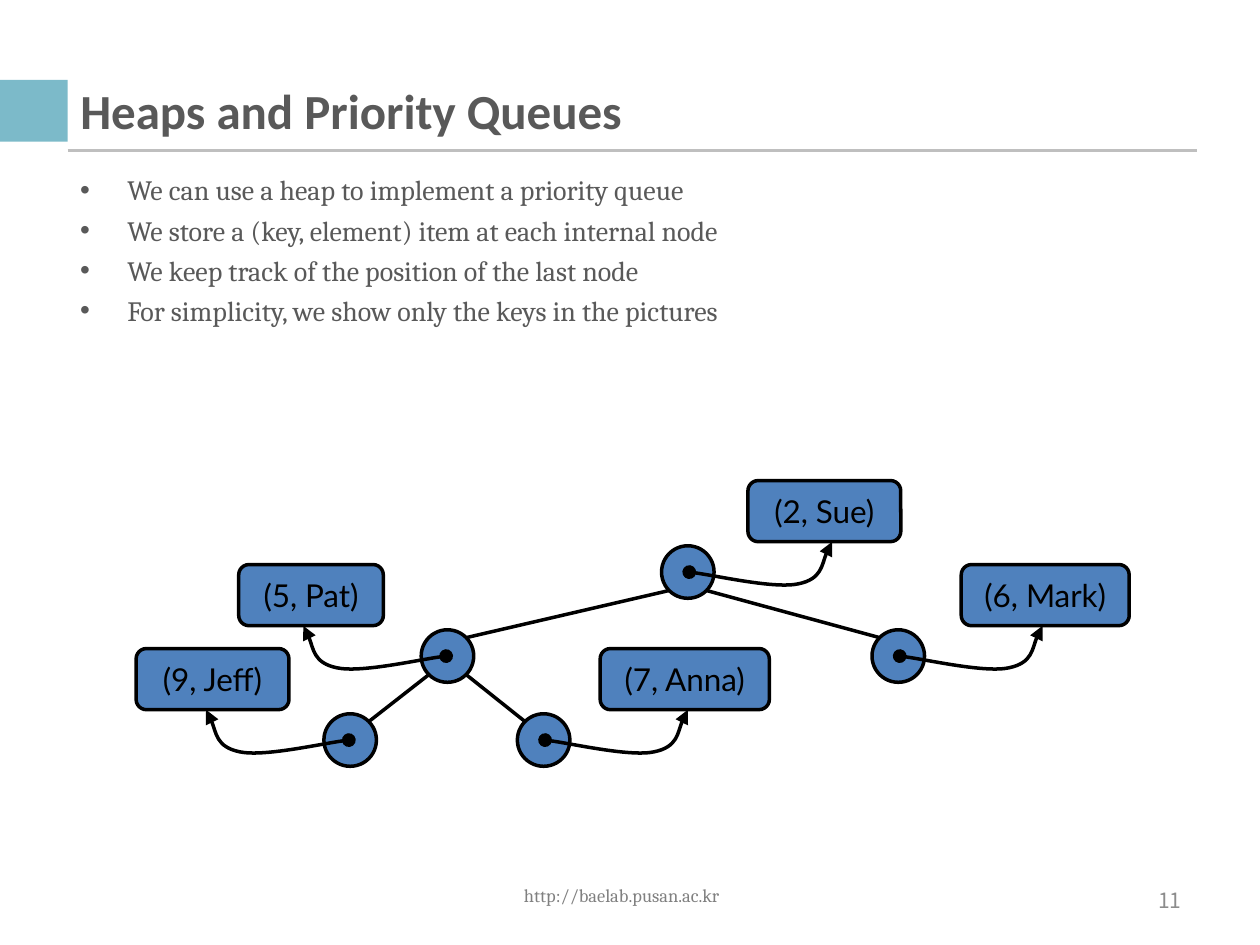
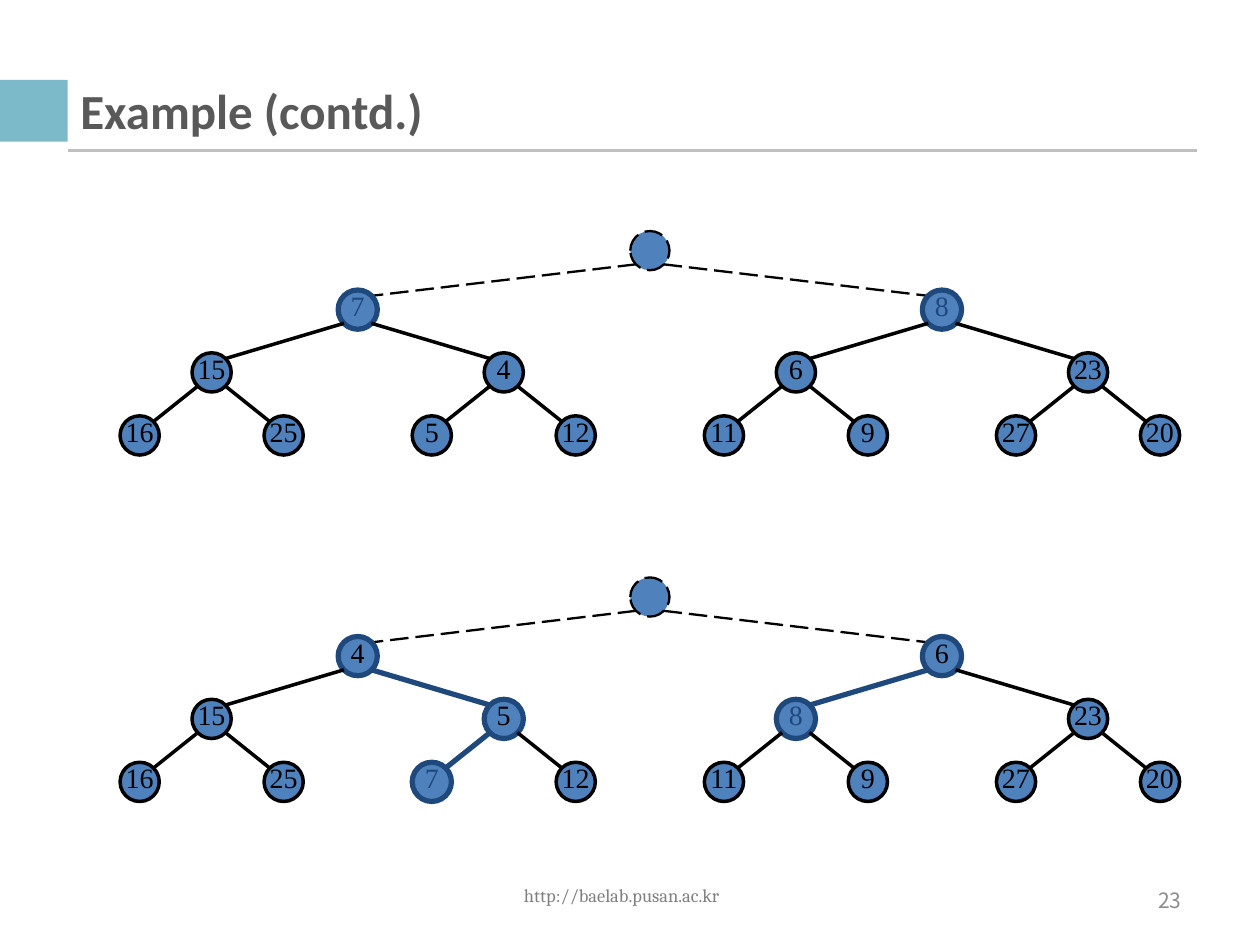
from lxml import etree
from pptx import Presentation
from pptx.dml.color import RGBColor
from pptx.enum.dml import MSO_LINE
from pptx.enum.shapes import MSO_CONNECTOR, MSO_SHAPE
from pptx.enum.text import MSO_ANCHOR, MSO_AUTO_SIZE, PP_ALIGN
from pptx.oxml.ns import qn
from pptx.util import Pt

RECT, ROUND, OVAL = MSO_SHAPE.RECTANGLE, MSO_SHAPE.ROUNDED_RECTANGLE, MSO_SHAPE.OVAL
LEFT, MID, RIGHT = PP_ALIGN.LEFT, PP_ALIGN.CENTER, PP_ALIGN.RIGHT
DASH = MSO_LINE.LONG_DASH


class Theme:
    black, blue, navy = "000000", "4F81BD", "1F497D"
    teal, rule = "7CBAC9", "BFBFBF"
    text, foot, page = "595959", "808080", "8C8C8C"
    # Fonts: face, size, colour
    head = ("Calibri", 21, text)
    body = ("Cambria", 12, text)
    link = ("Cambria", 7.9, foot)
    num = ("Noto Sans CJK KR", 9, page)
    item = ("Lato", 13.5, black)
    key = ("Times New Roman", 12, black)
    moved = ("Times New Roman", 12, navy)
    # Pens: colour, width, dash
    thin = (rule, 1, None)
    solid = (black, 1.5, None)
    bold = (navy, 2.25, None)
    dashed = (black, 1, DASH)


def put(slide, kind, box, fill=None, pen=None, text="", font=None,
        align=MID, pad=(7.2, 3.6, 7.2, 3.6), wrap=False):
    """Add a shape, or a text box when kind is None."""
    box = [Pt(v) for v in box]
    if kind is None:
        shape = slide.shapes.add_textbox(*box)
    else:
        shape = slide.shapes.add_shape(kind, *box)
        shape.shadow.inherit = False
        shape.fill.solid()
        shape.fill.fore_color.rgb = RGBColor.from_string(fill)
        if pen:
            shape.line.color.rgb = RGBColor.from_string(pen[0])
            shape.line.width = Pt(pen[1])
            shape.line.dash_style = pen[2]
        else:
            shape.line.fill.background()
    if text:
        frame = shape.text_frame
        frame.word_wrap = wrap
        frame.vertical_anchor = MSO_ANCHOR.MIDDLE
        (frame.margin_left, frame.margin_top,
         frame.margin_right, frame.margin_bottom) = [Pt(v) for v in pad]
        para = frame.paragraphs[0]
        para.text, para.alignment = text, align
        para.font.name, para.font.size = font[0], Pt(font[1])
        para.font.color.rgb = RGBColor.from_string(font[2])
    return shape


def join(slide, start, end, pen, gap=0):
    """Draw a line; gap moves both ends diagonally to the rims of two nodes."""
    side = 1 if end[0] > start[0] else -1
    line = slide.shapes.add_connector(
        MSO_CONNECTOR.STRAIGHT,
        Pt(start[0] + side * gap), Pt(start[1] + gap),
        Pt(end[0] - side * gap), Pt(end[1] - gap))
    line.line.color.rgb = RGBColor.from_string(pen[0])
    line.line.width = Pt(pen[1])
    line.line.dash_style = pen[2]
    etree.SubElement(line.element.spPr, qn("a:effectLst"))


deck = Presentation()
deck.slide_width, deck.slide_height = Pt(540), Pt(405)

# Shared frame: band, rule, title, footer, page number
slides = []
for name, page in [("Heaps and Priority Queues", "11"), ("Example (contd.)", "23")]:
    slide = deck.slides.add_slide(deck.slide_layouts[5])
    slides.append(slide)
    put(slide, None, (180.7, 373, 171.4, 21.6), text="http://baelab.pusan.ac.kr",
        font=Theme.link, pad=(5, 2.9, 5, 2.9), wrap=True)
    put(slide, RECT, (0, 34.2, 29, 26.6), Theme.teal)
    join(slide, (29, 64.5), (513, 64.5), Theme.thin)
    title = slide.shapes.title
    title.left, title.top, title.width, title.height = Pt(27.2), Pt(34.6), Pt(486), Pt(25.2)
    frame = title.text_frame
    frame.auto_size = MSO_AUTO_SIZE.NONE
    frame.vertical_anchor = MSO_ANCHOR.MIDDLE
    para = frame.paragraphs[0]
    para.text, para.alignment = name, LEFT
    para.font.name, para.font.size, para.font.bold = Theme.head[0], Pt(Theme.head[1]), True
    para.font.color.rgb = RGBColor.from_string(Theme.head[2])
    put(slide, None, (387.4, 375.1, 126, 21.6), text=page, font=Theme.num,
        align=RIGHT, wrap=True)
queue, example = slides

# Bullet list
points = [
    "We can use a heap to implement a priority queue",
    "We store a (key, element) item at each internal node",
    "We keep track of the position of the last node",
    "For simplicity, we show only the keys in the pictures",
]
frame = queue.shapes.add_textbox(Pt(27.2), Pt(70.6), Pt(486), Pt(291.6)).text_frame
frame.word_wrap = True
for i, point in enumerate(points):
    para = frame.paragraphs[0] if i == 0 else frame.add_paragraph()
    para.text = point
    props = para._p.get_or_add_pPr()
    props.set("marL", str(Pt(20.25)))
    props.set("indent", str(-Pt(20.25)))
    etree.SubElement(props, qn("a:buFont"), typeface="Arial")
    etree.SubElement(props, qn("a:buChar"), char="•")
    para.space_before = Pt(2.8 if i else 0)
    para.font.name, para.font.size = Theme.body[0], Pt(Theme.body[1])
    para.font.color.rgb = RGBColor.from_string(Theme.body[2])

# Queue heap: node centre, parent, item, side of its box, box offset and width
SIZE = 22.5
heap = [
    (294.8, 245.2, None, "(2, Sue)", 1, 58.5, 65.5),
    (191.8, 281.2, 0, "(5, Pat)", -1, 58.5, 62),
    (385, 281.2, 0, "(6, Mark)", 1, 63, 72),
    (150.1, 317.2, 1, "(9, Jeff)", -1, 59, 65.5),
    (233, 317.2, 1, "(7, Anna)", 1, 60.5, 72.5),
]
for x, y, up, item, side, off, wide in heap:
    put(queue, OVAL, (x - SIZE / 2, y - SIZE / 2, SIZE, SIZE), Theme.blue, Theme.solid)
    if up is not None:
        join(queue, heap[up][:2], (x, y), Theme.solid, SIZE * 0.35)
    put(queue, ROUND, (x + side * off - wide / 2, y - 39.2, wide, 26.2),
        Theme.blue, Theme.solid, item, Theme.item)

# Curved arrows from nodes to items: two cubic curves, relative to the start
bend = [(8, 0.7), (36.7, 7.2), (46.8, 5), (56.9, 2.9), (58.3, -9.4), (61.2, -13)]
for x, y, up, item, side, off, wide in heap:
    x += side * 0.6
    pen = queue.shapes.build_freeform(Pt(x), Pt(y))
    pen.add_line_segments([(Pt(x + side * dx), Pt(y + dy)) for dx, dy in bend], close=False)
    arrow = pen.convert_to_shape()
    arrow.shadow.inherit = False
    arrow.fill.background()
    arrow.line.color.rgb = RGBColor.from_string(Theme.solid[0])
    arrow.line.width = Pt(Theme.solid[1])
    props = arrow.element.spPr
    ends = props.find(qn("a:ln"))
    etree.SubElement(ends, qn("a:headEnd"), type="oval")
    etree.SubElement(ends, qn("a:tailEnd"), type="triangle")
    route = props.find(".//" + qn("a:path"))
    steps = route.findall(qn("a:lnTo"))
    for i in range(0, len(steps), 3):
        curve = etree.SubElement(route, qn("a:cubicBezTo"))
        for step in steps[i:i + 3]:
            curve.append(step[0])
            route.remove(step)

# Example trees in heap order from 1: root height, keys, ringed and moved nodes
DOT = 16.8
SPREAD = [0, 125.2, 62.6, 30.85]
DROP = [0, 25.3, 52.2, 79.2]
trees = [
    (107.4, ["", "7", "8", "15", "4", "6", "23",
             "16", "25", "5", "12", "11", "9", "27", "20"], {2, 3}, {2, 3}),
    (255.9, ["", "4", "6", "15", "5", "8", "23",
             "16", "25", "7", "12", "11", "9", "27", "20"], {2, 3, 5, 6, 10}, {6, 10}),
]
for top, keys, rings, moved in trees:
    spots = {1: (278.5, top)}
    for i, key in enumerate(keys, 1):
        up, level = i // 2, i.bit_length() - 1
        if up:
            side = 1 if i % 2 else -1
            spots[i] = (spots[up][0] + side * SPREAD[level], top + DROP[level])
            if up == 1:
                pen = Theme.dashed
            else:
                pen = Theme.bold if {i, up} <= rings else Theme.solid
            join(example, spots[up], spots[i], pen, DOT * 0.35)
        x, y = spots[i]
        if i == 1:
            pen = Theme.dashed
        else:
            pen = Theme.bold if i in rings else Theme.solid
        put(example, OVAL, (x - DOT / 2, y - DOT / 2, DOT, DOT), Theme.blue, pen, key,
            Theme.moved if i in moved else Theme.key, pad=(0, 0, 0, 3.6))

deck.save("out.pptx")
